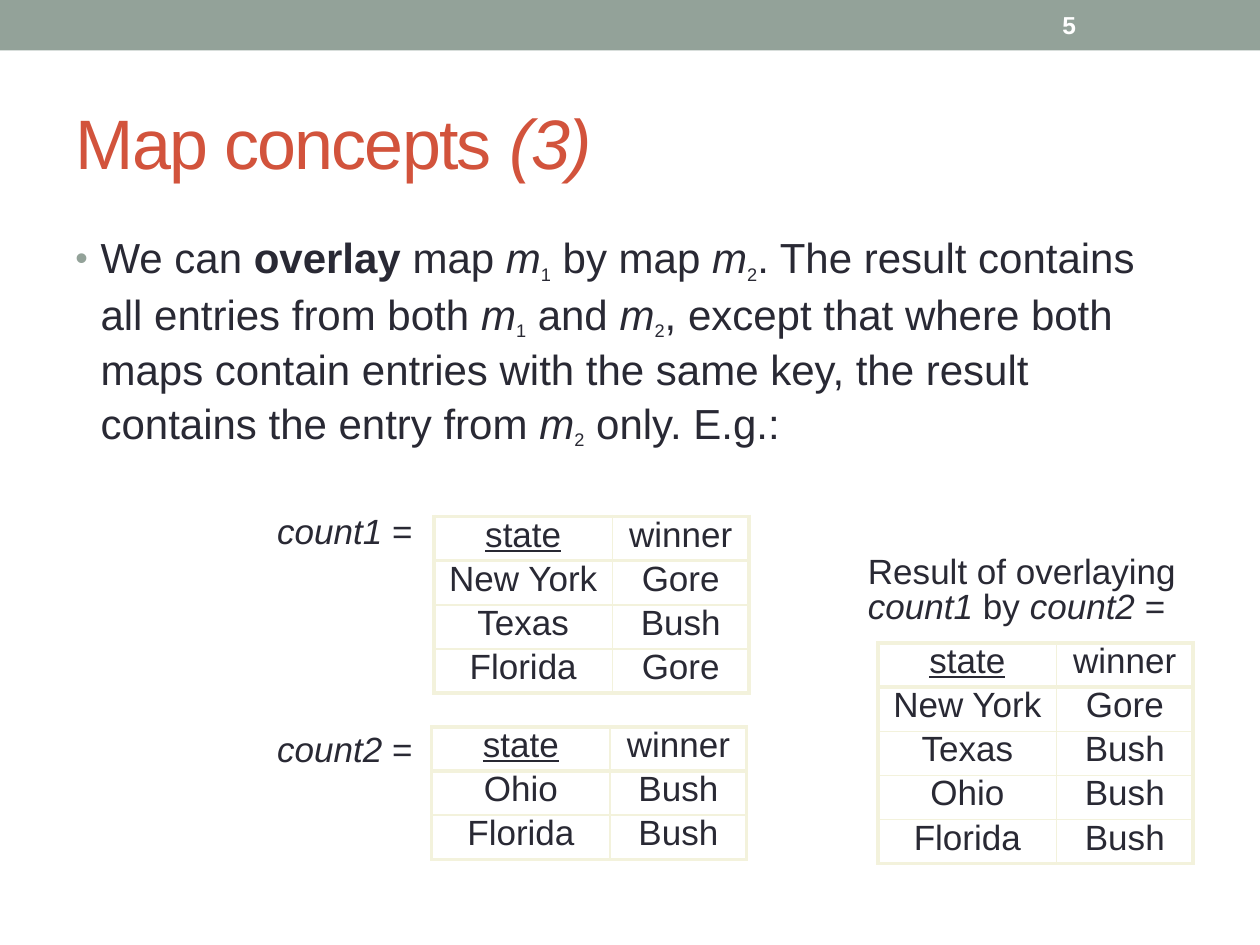
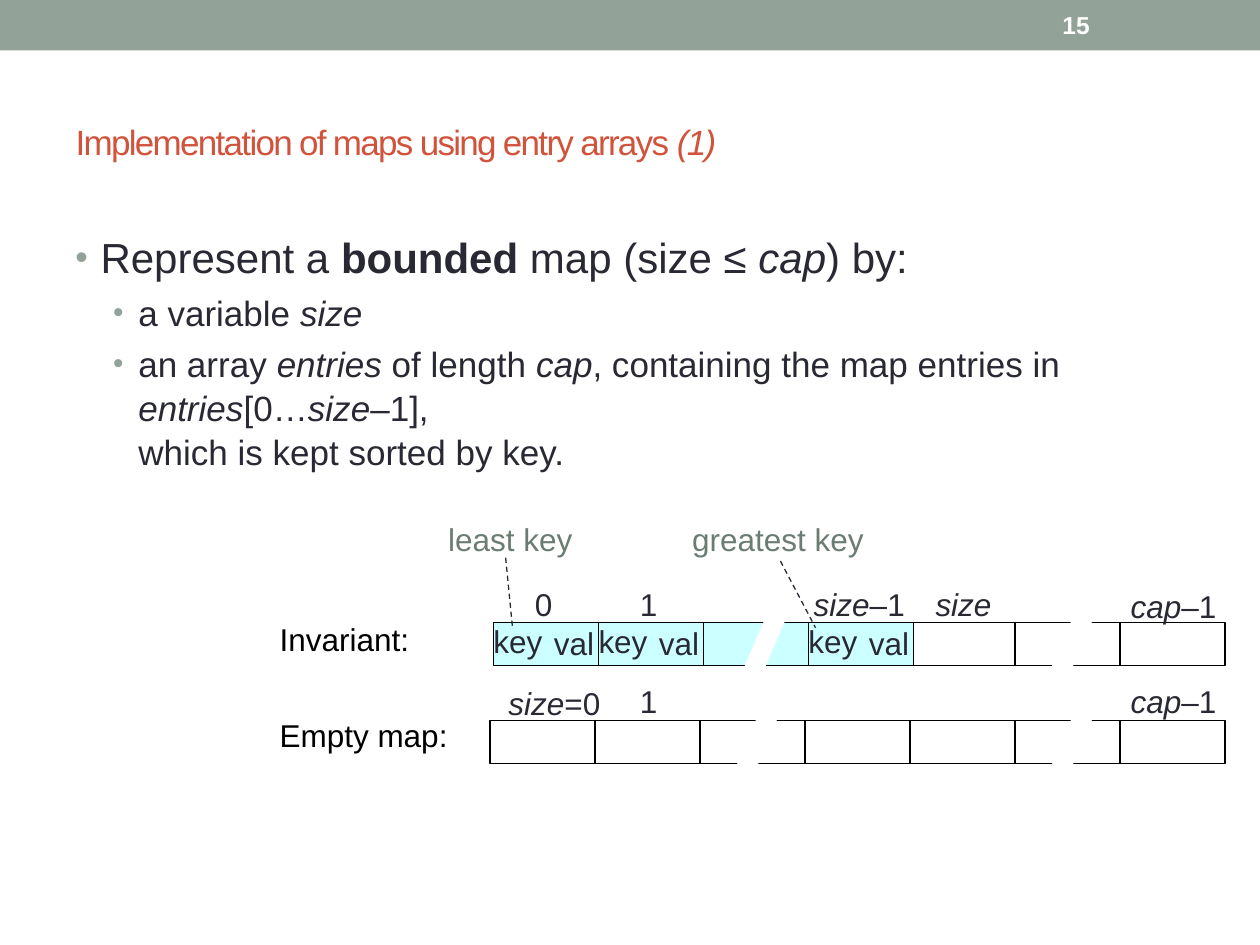
from dataclasses import dataclass

from lxml import etree
from pptx import Presentation
from pptx.dml.color import RGBColor
from pptx.enum import dml, shapes, text
from pptx.oxml import ns
from pptx.util import Pt


@dataclass(frozen=True)
class Theme:
    font: str = "Arial"
    band: str = "93A299"
    title: str = "D2533C"
    ink: str = "292934"
    note: str = "6B7D72"
    grid: str = "F3F2DC"
    used: str = "CCFFFF"
    white: str = "FFFFFF"
    black: str = "000000"
    body: int = 24
    detail: int = 20
    label: int = 18
    number: int = 14


THEME = Theme()
LEFT, CENTER, RIGHT = text.PP_ALIGN.LEFT, text.PP_ALIGN.CENTER, text.PP_ALIGN.RIGHT

# A run is plain text or (text, style): b bold, i italic, u underlined, s subscript.
M1 = [("m", "i"), ("1", "s")]
M2 = [("m", "i"), ("2", "s")]
CAP_LAST = [("cap", "i"), "–1"]

OVERLAY_TITLE = ["Map concepts ", ("(3)", "i")]
OVERLAY_BODY = [
    (0, ["We can ", ("overlay", "b"), " map ", *M1, " by map ", *M2,
         ". The result contains all entries from both ", *M1, " and ", *M2,
         ", except that where both maps contain entries with the same key, "
         "the result contains the entry from ", *M2, " only. E.g.:"]),
]
OVERLAY_LABELS = [  # runs, (left, top, width, height)
    ([("count1", "i"), " ="], (158.4, 295.2, 80, 24)),
    ([("count2", "i"), " ="], (158.4, 419.8, 80, 24)),
    (["Result of overlaying ", ("count1", "i"), " by ", ("count2", "i"), " ="],
     (496, 318.2, 183, 40)),
]
HEADER = ("state", "winner")
MAP_TABLES = [  # left, top, entries
    (248, 295.2, [("New York", "Gore"), ("Texas", "Bush"), ("Florida", "Gore")]),
    (246.7, 415.4, [("Ohio", "Bush"), ("Florida", "Bush")]),
    (501.8, 367.4, [("New York", "Gore"), ("Texas", "Bush"), ("Ohio", "Bush"),
                    ("Florida", "Bush")]),
]
COLUMN_WIDTHS = (102, 78)
ROW_HEIGHT = 25.2

ARRAY_TITLE = ["Implementation of maps using entry arrays ", ("(1)", "i")]
ARRAY_BODY = [
    (0, ["Represent a ", ("bounded", "b"), " map (size ≤ ", ("cap", "i"), ") by:"]),
    (1, ["a variable ", ("size", "i")]),
    (1, ["an array ", ("entries", "i"), " of length ", ("cap", "i"),
         ", containing the map entries in ", ("entries", "i"), "[0…", ("size", "i"),
         "–1],\nwhich is kept sorted by key."]),
]
ARRAY_LEFT, CELL_WIDTH, CELL_HEIGHT = 280, 60, 24.5
USED_LEFT = 282  # the filled entries sit slightly right of the free ones
ARRAYS = [
    dict(name="Invariant:", name_top=357.8, top=355.7, free=range(4, 7), used=range(4),
         filled=(0, 1, 3), cuts=(422.7, 598.3),
         indexes=[(["0"], 310.6, 337.7), (["1"], 370.6, 337.7),
                  ([("size", "i"), "–1"], 491, 337.7), ([("size", "i")], 550.6, 337.7),
                  (CAP_LAST, 670.6, 339.1)]),
    dict(name="Empty map:", name_top=412.6, top=411.8, free=range(7), used=(),
         filled=(), cuts=(418.3, 598.3),
         indexes=[([("size", "i"), "=0"], 316.8, 394.6), (["1"], 370.6, 393.1),
                  (CAP_LAST, 670.6, 393.1)]),
]
CALLOUTS = [  # wording, left, width, adjustments of the leader line
    ("least key", 254.9, 73.4, (0.876, 0.464, 2.902, 0.519)),
    ("greatest key", 393.8, 101.5, (0.97, 0.514, 2.857, 0.712)),
]


def rgb(color):
    return RGBColor.from_string(color)


def points(*values):
    return [Pt(value) for value in values]


def add_runs(paragraph, runs, size, color=THEME.ink, spacing=None):
    for item in runs:
        words, style = (item, "") if isinstance(item, str) else item
        for index, line in enumerate(words.split("\n")):
            if index:
                paragraph.add_line_break()
            run = paragraph.add_run()
            run.text = line
            font = run.font
            font.name, font.size = THEME.font, Pt(THEME.label if style == "s" else size)
            font.color.rgb = rgb(color)
            font.bold, font.italic = style == "b", style == "i"
            font.underline = style == "u"
            properties = run._r.get_or_add_rPr()
            if style == "s":
                properties.set("baseline", "-25000")
            if spacing:
                properties.set("spc", str(spacing))


def write(frame, runs, size, color=THEME.ink, align=LEFT, pitch=None):
    """Put one paragraph in a frame without margins; pitch is an exact line height."""
    frame.word_wrap = True
    frame.margin_left = frame.margin_right = frame.margin_top = frame.margin_bottom = 0
    frame.vertical_anchor = text.MSO_ANCHOR.TOP
    paragraph = frame.paragraphs[0]
    paragraph.alignment = align
    if pitch:
        paragraph.line_spacing = Pt(pitch)
    add_runs(paragraph, runs, size, color)


def add_label(slide, box, runs, size=THEME.label, **options):
    write(slide.shapes.add_textbox(*points(*box)).text_frame, runs, size, **options)


def paint(shape, fill=None, line=None):
    shape.shadow.inherit = False
    if fill:
        shape.fill.solid()
        shape.fill.fore_color.rgb = rgb(fill)
    else:
        shape.fill.background()
    if line:
        shape.line.color.rgb = rgb(line)
        shape.line.width = Pt(0.75)
    else:
        shape.line.fill.background()
    return shape


def add_box(slide, left, top, width, height, fill, line=None):
    shape = slide.shapes.add_shape(shapes.MSO_SHAPE.RECTANGLE,
                                   *points(left, top, width, height))
    return paint(shape, fill, line)


def add_bullet(paragraph, level):
    properties = paragraph._p.get_or_add_pPr()
    properties.set("marL", str(Pt((14.4, 36)[level])))
    properties.set("indent", str(-Pt(14.4)))
    color = etree.SubElement(properties, ns.qn("a:buClr"))
    etree.SubElement(color, ns.qn("a:srgbClr"), val=THEME.band)
    etree.SubElement(properties, ns.qn("a:buSzPct"), val="85000")
    etree.SubElement(properties, ns.qn("a:buFont"), typeface=THEME.font)
    etree.SubElement(properties, ns.qn("a:buChar"), char="•")


def add_body(slide, items):
    frame = slide.shapes.add_textbox(*points(36, 127.5, 648, 382)).text_frame
    frame.word_wrap = True
    for index, (level, runs) in enumerate(items):
        paragraph = frame.add_paragraph() if index else frame.paragraphs[0]
        paragraph.level = level
        add_bullet(paragraph, level)
        paragraph.line_spacing = 1.05
        if index:
            paragraph.space_before = Pt(4)
        add_runs(paragraph, runs, (THEME.body, THEME.detail)[level])


def start_slide(presentation, number, title_runs, title_size, body):
    """Add a slide with the band, number, title and bullets that all slides share."""
    slide = presentation.slides.add_slide(presentation.slide_layouts[5])
    add_box(slide, 0, 0, 720, 28.8, THEME.band)

    title = slide.shapes.title
    title.left, title.top, title.width, title.height = points(36, 42, 648, 78)
    frame = title.text_frame
    frame.word_wrap = True
    frame.auto_size = text.MSO_AUTO_SIZE.NONE
    frame.vertical_anchor = text.MSO_ANCHOR.MIDDLE
    frame.paragraphs[0].alignment = LEFT
    add_runs(frame.paragraphs[0], title_runs, title_size, THEME.title, spacing=-100)

    add_body(slide, body)

    frame = slide.shapes.add_textbox(*points(600, 1.4, 84, 26)).text_frame
    frame.word_wrap = True
    frame.vertical_anchor = text.MSO_ANCHOR.MIDDLE
    add_runs(frame.paragraphs[0], [(str(number), "b")], THEME.number, THEME.white)
    return slide


def set_borders(cell, widths):
    properties = cell._tc.get_or_add_tcPr()
    for side, width in widths.items():
        line = etree.SubElement(properties, ns.qn(f"a:ln{side}"), w=str(Pt(width)))
        fill = etree.SubElement(line, ns.qn("a:solidFill"))
        etree.SubElement(fill, ns.qn("a:srgbClr"), val=THEME.grid)


def add_map_table(slide, left, top, entries):
    rows = [HEADER, *entries]
    last = len(rows) - 1
    table = slide.shapes.add_table(
        len(rows), 2, *points(left, top, sum(COLUMN_WIDTHS), ROW_HEIGHT * len(rows))).table
    table.first_row = table.horz_banding = False
    for column, width in zip(table.columns, COLUMN_WIDTHS):
        column.width = Pt(width)
    for r, row in enumerate(rows):
        table.rows[r].height = Pt(ROW_HEIGHT)
        for c, words in enumerate(row):
            cell = table.cell(r, c)
            thick = {"L": c == 0, "R": c == 1, "T": r < 2, "B": r in (0, last)}
            set_borders(cell, {side: 2.25 if on else 1 for side, on in thick.items()})
            cell.fill.solid()
            cell.fill.fore_color.rgb = rgb(THEME.white)
            cell.margin_left = cell.margin_right = Pt(7.2)
            cell.margin_top = cell.margin_bottom = Pt(3.6)
            paragraph = cell.text_frame.paragraphs[0]
            paragraph.alignment = CENTER
            paragraph.line_spacing = Pt(18)
            add_runs(paragraph, [(words, "u" if (r, c) == (0, 0) else "")], THEME.detail)


def add_cut(slide, left, top):
    """Hide a slanted strip of an array to show that entries are left out."""
    builder = slide.shapes.build_freeform(Pt(left + 18), Pt(top))
    corners = [(left, top + 42), (left + 12, top + 42), (left + 30, top)]
    builder.add_line_segments([points(*corner) for corner in corners], close=True)
    paint(builder.convert_to_shape(), THEME.white)


def add_array(slide, array):
    top = array["top"]
    add_label(slide, (159.8, array["name_top"], 105, 18), [array["name"]],
              color=THEME.black, pitch=18)
    for index in array["free"]:
        add_box(slide, ARRAY_LEFT + CELL_WIDTH * index, top, CELL_WIDTH, CELL_HEIGHT,
                THEME.white, THEME.black)
    for index in array["used"]:
        left = USED_LEFT + CELL_WIDTH * index
        cell = add_box(slide, left, top, CELL_WIDTH, CELL_HEIGHT, THEME.used, THEME.black)
        if index in array["filled"]:
            write(cell.text_frame, ["key"], THEME.label)
            add_label(slide, (left + 31.5, top + 0.7, 26, 24), ["val"], align=RIGHT)
    for left in array["cuts"]:
        add_cut(slide, left, top - 10.4)
    for runs, center, label_top in array["indexes"]:
        add_label(slide, (center - 36.7, label_top, 73.4, 17), runs, align=CENTER, pitch=18)


def add_callout(slide, words, left, width, adjustments):
    shape = slide.shapes.add_shape(shapes.MSO_SHAPE.LINE_CALLOUT_1_NO_BORDER,
                                   *points(left, 301, width, 20.2))
    for index, value in enumerate(adjustments):
        shape.adjustments[index] = value
    paint(shape, line=THEME.ink)
    shape.line.dash_style = dml.MSO_LINE.DASH
    write(shape.text_frame, [words], THEME.label, THEME.note, CENTER, 18)


def main():
    presentation = Presentation()
    presentation.slide_width, presentation.slide_height = points(720, 540)

    slide = start_slide(presentation, 5, OVERLAY_TITLE, 40, OVERLAY_BODY)
    for runs, box in OVERLAY_LABELS:
        add_label(slide, box, runs, THEME.detail, pitch=20)
    for map_table in MAP_TABLES:
        add_map_table(slide, *map_table)

    slide = start_slide(presentation, 15, ARRAY_TITLE, 20, ARRAY_BODY)
    for array in ARRAYS:
        add_array(slide, array)
    for callout in CALLOUTS:
        add_callout(slide, *callout)

    presentation.save("out.pptx")


if __name__ == "__main__":
    main()
